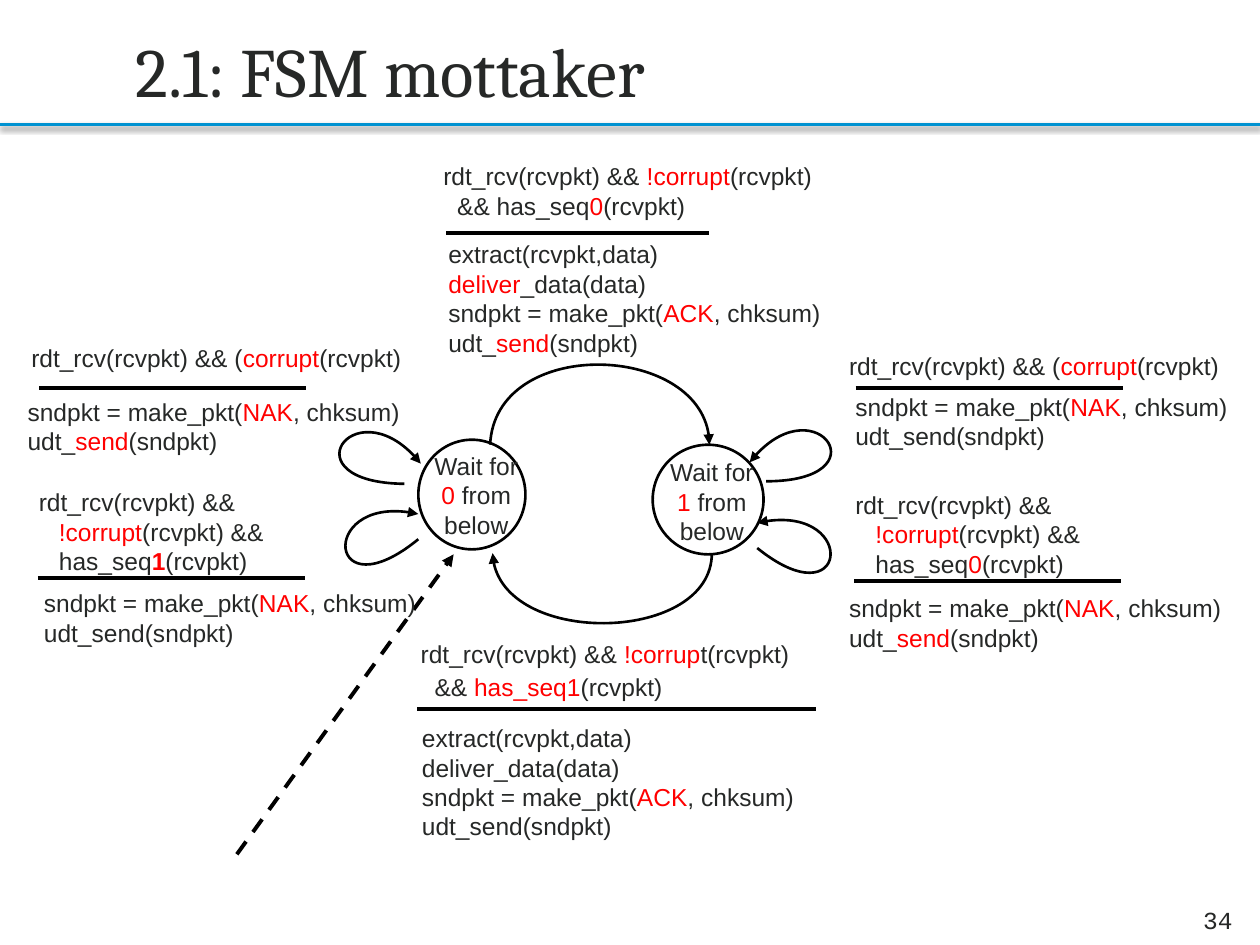
"""Draw the receiver state machine slide."""
from lxml import etree
from pptx import Presentation
from pptx.dml.color import RGBColor
from pptx.enum.dml import MSO_LINE
from pptx.enum.shapes import MSO_CONNECTOR, MSO_SHAPE
from pptx.enum.text import MSO_ANCHOR, PP_ALIGN
from pptx.oxml.ns import qn
from pptx.util import Pt

PX = 9144
INK = RGBColor(0x26, 0x28, 0x27)
RED = RGBColor(0xFF, 0, 0)
BLACK = RGBColor(0, 0, 0)
WHITE = RGBColor(0xFF, 0xFF, 0xFF)
BLUE = RGBColor(0, 0x92, 0xD1)

# Text between bars is red; a caret makes it bold.
NAK = "sndpkt = make_pkt(|NAK|, chksum)"
ACK = "sndpkt = make_pkt(|ACK|, chksum)"
SEND = "udt_send(sndpkt)"
RSEND = "udt_|send|(sndpkt)"
BAD = "rdt_rcv(rcvpkt) && (|corrupt|(rcvpkt)"
GOOD = ["rdt_rcv(rcvpkt) &&", "   |!corrupt|(rcvpkt) &&"]

LABELS = [
    ((669, 306, 331, 45), [NAK, SEND]),
    ((669, 384, 287, 67), GOOD + ["   has_seq|0|(rcvpkt)"]),
    ((325, 569, 421, 109),
     ["extract(rcvpkt,data)", "deliver_data(data)", ACK, SEND]),
    ((342, 123, 435, 62),
     ["rdt_rcv(rcvpkt) && |!corrupt|(rcvpkt)", "  && has_seq|0|(rcvpkt)"]),
    ((346, 185, 380, 77),
     ["extract(rcvpkt,data)", "|deliver|_data(data)", ACK, RSEND]),
    ((664, 274, 314, 67), [BAD]),
    ((664, 466, 322, 45), [NAK, RSEND]),
    ((21, 382, 287, 67), GOOD + ["   has_seq|^1|(rcvpkt)"]),
    ((15, 267, 314, 67), [BAD]),
    ((25, 462, 322, 45), [NAK, SEND]),
    ((12, 310, 331, 45), [NAK, RSEND]),
]
NEXT = ["rdt_rcv(rcvpkt) && |!corrup|t(rcvpkt)", "  && |has_seq1|(rcvpkt)"]
RULES = [(678, 461, 890), (331, 563, 648), (354, 185, 563),
         (679, 308, 891), (30, 459, 242), (31, 308, 243)]
STATES = [
    ((332, 349, 85, 87), (334, 353, 88, 67), "|0| from below"),
    ((518, 353, 88, 87), (521, 358, 88, 67), "|1| from below"),
]
CURVES = [
    [(389, 353), (393, 267), (563, 272), (563, 353)],
    [(565, 439), (565, 510), (394, 514), (391, 439)],
    [(608, 382), (701, 382), (646, 302), (595, 367)],
    [(601, 435), (673, 493), (682, 397), (601, 415)],
    [(332, 428), (260, 487), (252, 390), (332, 408)],
    [(321, 384), (228, 383), (283, 304), (334, 368)],
]

deck = Presentation()
deck.slide_width, deck.slide_height = 1000 * PX, 750 * PX
slide = deck.slides.add_slide(deck.slide_layouts[6])
shapes = slide.shapes


def scale(box):
    return [n * PX for n in box]


def write(box, lines, size=14, font="Arial", align=PP_ALIGN.LEFT,
          anchor=MSO_ANCHOR.TOP, gap=0):
    frame = shapes.add_textbox(*scale(box)).text_frame
    frame.word_wrap = True
    frame.vertical_anchor = anchor
    for i, line in enumerate(lines):
        para = frame.paragraphs[0] if i == 0 else frame.add_paragraph()
        para.alignment = align
        text = line.lstrip()
        if text != line:
            dent = round(5.4 * (len(line) - len(text)))
            para._p.get_or_add_pPr().set("marL", str(dent * PX))
        if i and gap:
            para.space_before = Pt(gap)
        for j, part in enumerate(text.split("|")):
            if part:
                run = para.add_run()
                run.text = part.lstrip("^")
                run.font.size, run.font.name = Pt(size), font
                run.font.bold = part.startswith("^")
                run.font.color.rgb = RED if j % 2 else INK


def stroke(item, width, color=BLACK, arrow=False):
    item.line.width = Pt(width)
    item.line.color.rgb = color
    if arrow:
        etree.SubElement(item.line._get_or_add_ln(), qn("a:tailEnd"), type="triangle")


def rule(ends, width=2.25, color=BLACK, dash=None, arrow=False):
    line = shapes.add_connector(MSO_CONNECTOR.STRAIGHT, *scale(ends))
    stroke(line, width, color)
    if dash:
        line.line.dash_style = dash
    if arrow:
        stroke(line, width, color, arrow)
    return etree.SubElement(line._element.spPr, qn("a:effectLst"))


def curve(points):
    pen = shapes.build_freeform(*points[0], scale=PX)
    pen.add_line_segments(points[1:], close=False)
    arc = pen.convert_to_shape()
    track = next(arc._element.iter(qn("a:path")))
    bend = etree.SubElement(track, qn("a:cubicBezTo"))
    for step in track.findall(qn("a:lnTo")):
        bend.append(step[0])
        track.remove(step)
    arc.shadow.inherit = False
    arc.fill.background()
    stroke(arc, 1.5, arrow=True)


def state(box, area, text):
    ring = shapes.add_shape(MSO_SHAPE.OVAL, *scale(box))
    ring.shadow.inherit = False
    ring.fill.solid()
    ring.fill.fore_color.rgb = WHITE
    stroke(ring, 1.5)
    write(area, ["Wait for", text], align=PP_ALIGN.CENTER)


glow = etree.SubElement(rule((0, 99, 1000, 99), 2, BLUE), qn("a:outerShdw"),
                        blurRad=str(Pt(3.1)), dist=str(Pt(1.6)), dir="5400000")
tone = etree.SubElement(glow, qn("a:srgbClr"), val="000000")
etree.SubElement(tone, qn("a:alpha"), val="38000")

write((98, 21, 882, 69), ["2.1: FSM mottaker"], size=39.6, font="Cambria",
      anchor=MSO_ANCHOR.MIDDLE)
write((894, 710, 94, 40), ["34"], font="Courier New", align=PP_ALIGN.RIGHT,
      anchor=MSO_ANCHOR.MIDDLE)
for args in STATES:
    state(*args)
rule((188, 678, 360, 440), dash=MSO_LINE.DASH, arrow=True)
for points in CURVES:
    curve(points)
for left, top, right in RULES:
    rule((left, top, right, top))
for box, lines in LABELS:
    write(box, lines)
write((324, 502, 392, 62), NEXT, gap=2)
deck.save("out.pptx")
